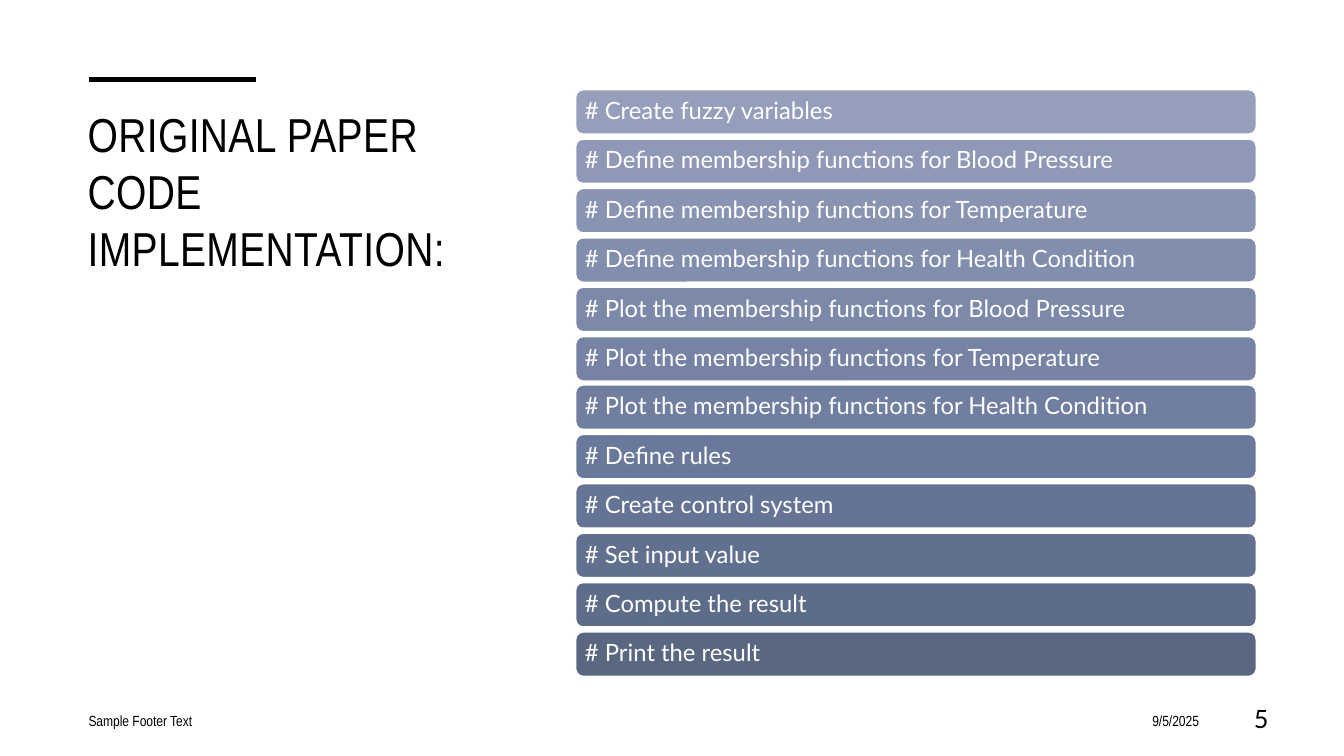
from lxml.etree import SubElement
from pptx import Presentation
from pptx.dml.color import RGBColor
from pptx.enum.shapes import MSO_CONNECTOR as Link, MSO_SHAPE as Form
from pptx.enum.text import MSO_ANCHOR as Anchor, PP_ALIGN as Align
from pptx.oxml.ns import qn
from pptx.util import Pt

PX = 9144  # EMU per px, 100 px to the inch
HEAD, BODY = "Arial Narrow", "Lato"
BLACK, WHITE = "000000", "FFFFFF"

STEPS = [
    ("# Create fuzzy variables", "959EBB"),
    ("# Define membership functions for Blood Pressure", "8F99B7"),
    ("# Define membership functions for Temperature", "8993B2"),
    ("# Define membership functions for Health Condition", "828EAD"),
    ("# Plot the membership functions for Blood Pressure", "7C89A9"),
    ("# Plot the membership functions for Temperature", "7683A4"),
    ("# Plot the membership functions for Health Condition", "707EA0"),
    ("# Define rules", "6A799B"),
    ("# Create control system", "657495"),
    ("# Set input value", "61708E"),
    ("# Compute the result", "5D6C88"),
    ("# Print the result", "596781"),
]
FIRST, LAST = 89, 627  # tops of the first and last bar


def px(*nums):
    return [round(n) * PX for n in nums]


def paint(color, code):
    color.rgb = RGBColor.from_string(code)


def write(frame, text, size, font, code=BLACK, align=Align.LEFT,
          lead=1.0, track=0):
    """Fill a text frame with one run; track is in hundredths of a point."""
    frame.word_wrap = True
    para = frame.paragraphs[0]
    para.alignment = align
    para.line_spacing = lead
    run = para.add_run()
    run.text = text
    run.font.size = Pt(size)
    run.font.name = font
    paint(run.font.color, code)
    if track:
        run._r.get_or_add_rPr().set("spc", str(track))


def add_text(slide, box, text, size, font, anchor=Anchor.MIDDLE, **style):
    frame = slide.shapes.add_textbox(*px(*box)).text_frame
    frame.vertical_anchor = anchor
    write(frame, text, size, font, **style)


def add_rule(slide, left, right, top):
    rule = slide.shapes.add_connector(Link.STRAIGHT, *px(left, top, right, top))
    paint(rule.line.color, BLACK)
    rule.line.width = Pt(3.5)
    SubElement(rule._element.spPr, qn("a:effectLst"))


def add_bar(slide, top, text, code):
    bar = slide.shapes.add_shape(Form.ROUNDED_RECTANGLE, *px(571, top, 675, 44))
    bar.shadow.inherit = False
    bar.fill.solid()
    paint(bar.fill.fore_color, code)
    paint(bar.line.color, WHITE)
    bar.line.width = Pt(1)
    frame = bar.text_frame
    frame.margin_left, frame.margin_right = px(7, 7)
    frame.margin_top, frame.margin_bottom = px(7, 7)
    frame.vertical_anchor = Anchor.MIDDLE
    write(frame, text, 17, BODY, code=WHITE, lead=0.9)


def main():
    deck = Presentation()
    deck.slide_width, deck.slide_height = px(1333, 750)
    slide = deck.slides.add_slide(deck.slide_layouts[6])

    add_rule(slide, 88, 254, 79)
    add_text(slide, (77, 99, 428, 435), "ORIGINAL PAPER CODE IMPLEMENTATION:",
             34, HEAD, anchor=Anchor.TOP, track=30)

    pitch = (LAST - FIRST) / (len(STEPS) - 1)
    for i, (text, code) in enumerate(STEPS):
        add_bar(slide, FIRST + i * pitch, text, code)

    add_text(slide, (78, 695, 496, 40), "Sample Footer Text", 10.5, HEAD)
    add_text(slide, (915, 695, 284, 40), "9/5/2025", 10.5, HEAD,
             align=Align.RIGHT)
    add_text(slide, (1194, 695, 74, 40), "5", 18, BODY,
             align=Align.RIGHT, lead=0.9)
    deck.save("out.pptx")


if __name__ == "__main__":
    main()
